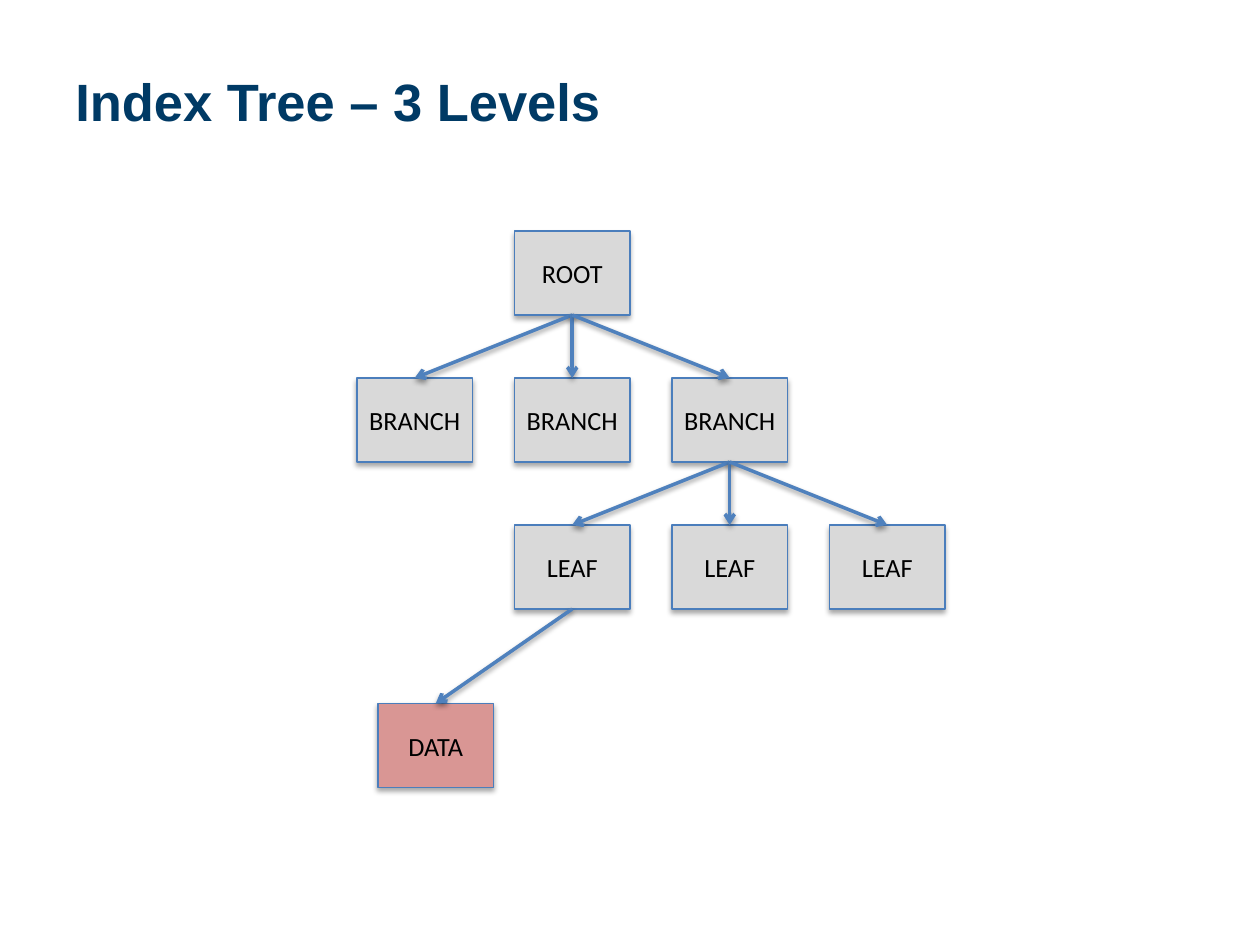
import dataclasses

import pptx
import pptx.dml.color
import pptx.enum.shapes
import pptx.enum.text
import pptx.oxml
import pptx.oxml.ns
import pptx.util

Pt = pptx.util.Pt
RGB = pptx.dml.color.RGBColor.from_string


@dataclasses.dataclass(frozen=True)
class Theme:
    title_color: str = "003A65"
    text_color: str = "000000"
    node_fill: str = "D9D9D9"
    data_fill: str = "D99694"
    node_line: str = "4B7EBC"
    arrow_line: str = "4F81BD"
    title_font: str = "Arial"
    node_font: str = "Calibri"
    title_size: float = 30
    node_size: float = 15


THEME = Theme()
NODE_WIDTH, NODE_HEIGHT = 66, 48
COLUMN_STEP, LEVEL_STEP = 90, 84


def add_shadow(shape, distance, opacity):
    """Replace the inherited shadow with a soft one falling straight down."""
    properties = shape._element.spPr
    effects = properties.find(pptx.oxml.ns.qn("a:effectLst"))
    if effects is None:
        effects = pptx.oxml.parse_xml(f'<a:effectLst {pptx.oxml.ns.nsdecls("a")}/>')
        properties.append(effects)
    effects.append(pptx.oxml.parse_xml(
        f'<a:outerShdw {pptx.oxml.ns.nsdecls("a")} blurRad="{Pt(3.1)}" '
        f'dist="{Pt(distance)}" dir="5400000" rotWithShape="0">'
        f'<a:srgbClr val="000000"><a:alpha val="{opacity * 1000}"/></a:srgbClr>'
        '</a:outerShdw>'))


def add_title(page, text, left, top, width, height):
    box = page.shapes.add_textbox(Pt(left), Pt(top), Pt(width), Pt(height))
    frame = box.text_frame
    frame.word_wrap = True
    frame.vertical_anchor = pptx.enum.text.MSO_ANCHOR.MIDDLE
    para = frame.paragraphs[0]
    para.text = text
    para.font.name = THEME.title_font
    para.font.size = Pt(THEME.title_size)
    para.font.bold = True
    para.font.color.rgb = RGB(THEME.title_color)


def add_node(page, label, left, top, fill=THEME.node_fill):
    node = page.shapes.add_shape(
        pptx.enum.shapes.MSO_SHAPE.RECTANGLE,
        Pt(left), Pt(top), Pt(NODE_WIDTH), Pt(NODE_HEIGHT))
    node.fill.solid()
    node.fill.fore_color.rgb = RGB(fill)
    node.line.color.rgb = RGB(THEME.node_line)
    node.line.width = Pt(0.75)
    node.shadow.inherit = False
    add_shadow(node, distance=1.8, opacity=35)
    frame = node.text_frame
    frame.margin_left = frame.margin_right = 0
    frame.vertical_anchor = pptx.enum.text.MSO_ANCHOR.MIDDLE
    para = frame.paragraphs[0]
    para.text = label
    para.alignment = pptx.enum.text.PP_ALIGN.CENTER
    para.font.name = THEME.node_font
    para.font.size = Pt(THEME.node_size)
    para.font.color.rgb = RGB(THEME.text_color)
    return node


def add_level(page, label, left, top, count):
    return [add_node(page, label, left + column * COLUMN_STEP, top)
            for column in range(count)]


def link(page, parent, child):
    arrow = page.shapes.add_connector(
        pptx.enum.shapes.MSO_CONNECTOR.STRAIGHT, 0, 0, 0, 0)
    arrow.begin_connect(parent, 2)
    arrow.end_connect(child, 0)
    arrow.line.color.rgb = RGB(THEME.arrow_line)
    arrow.line.width = Pt(2)
    arrow.line._get_or_add_ln().append(pptx.oxml.parse_xml(
        f'<a:tailEnd {pptx.oxml.ns.nsdecls("a")} type="arrow"/>'))
    add_shadow(arrow, distance=1.6, opacity=38)


def add_tree(page, left, top):
    # Levels of the index, each one step below the last
    root = add_node(page, "ROOT", left + COLUMN_STEP, top)
    branches = add_level(page, "BRANCH", left, top + LEVEL_STEP, 3)
    leaves = add_level(page, "LEAF", left + COLUMN_STEP, top + 2 * LEVEL_STEP, 3)
    # Data block that the first leaf points to
    data = add_node(page, "DATA", left + 12, top + 270, THEME.data_fill)
    # Arrows from parent to child
    for parent, children in ((root, branches), (branches[-1], leaves),
                             (leaves[0], [data])):
        for child in children:
            link(page, parent, child)


def main():
    deck = pptx.Presentation()
    deck.slide_width, deck.slide_height = Pt(720), Pt(540)
    page = deck.slides.add_slide(deck.slide_layouts[6])
    add_title(page, "Index Tree – 3 Levels", 36, 21.6, 648.7, 71.3)
    add_tree(page, 204, 132)
    deck.save("out.pptx")


if __name__ == "__main__":
    main()
